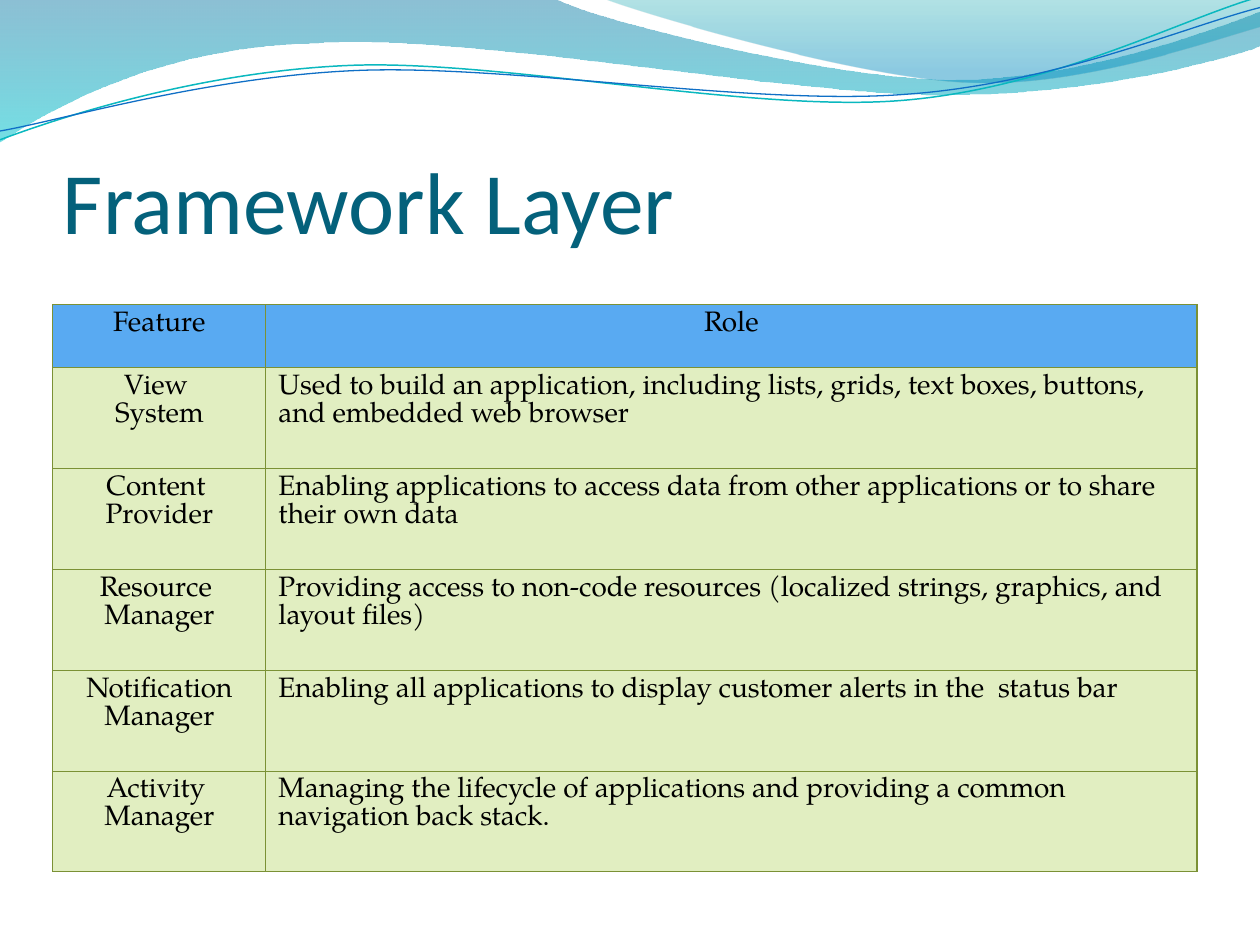
from pptx import Presentation, util as u
from pptx.dml.color import RGBColor
from pptx.enum import text
from pptx.oxml import parse_xml
from pptx.oxml.ns import nsdecls, qn
from lxml import etree

HUES = {"title": "04617B", "head": "59AAF2", "body": "E1EEC1", "edge": "7B9135",
        "ink": "000000", "teal": "0AB8BF", "blue": "0F6FC6"}
rgb = RGBColor.from_string

deck = Presentation()
deck.slide_width, deck.slide_height = u.Inches(10), u.Inches(7.5)
slide = deck.slides.add_slide(deck.slide_layouts[6])


def trace(steps, close):
    dots = [(u.Inches(s[i]), u.Inches(s[i + 1])) for s in steps for i in range(0, len(s), 2)]
    pen = slide.shapes.build_freeform(*dots[0])
    pen.add_line_segments(dots[1:], close=close)
    wave = pen.convert_to_shape()
    wave.shadow.inherit = False
    lines = iter(list(wave._element.spPr.iter(qn("a:lnTo"))))
    for step in steps[1:]:
        line = next(lines)
        if len(step) == 6:
            bend = etree.Element(qn("a:cubicBezTo"))
            line.addprevious(bend)
            for part in (line, next(lines), next(lines)):
                bend.append(part[0])
                part.getparent().remove(part)
    return wave


bands = [
    ([(0, 0), (4.4, -0.01), (4.76, 0.17, 6.64, 0.63, 7.58, 0.63),
      (8.53, 0.63, 9.58, 0.26, 10, 0.09), (10.01, 0.36),
      (9.83, 0.44, 8.7, 0.76, 7.46, 0.75), (6.22, 0.75, 3.82, 0.28, 2.57, 0.34),
      (1.29, 0.36, 0.46, 0.83, -0.01, 1.13)],
     [(0, "0074A1", 45), (1, "00C6CF", 55)]),
    ([(4.79, -0.01), (5.09, 0.11, 6.82, 0.62, 7.69, 0.65),
      (8.56, 0.69, 9.61, 0.32, 10, 0.21), (10, 0)],
     [(0, "00A1A9", 30), (0.8, "008BBF", 45)]),
]
for steps, stops in bands:
    band = trace(steps, True)
    band.line.fill.background()
    band.fill.gradient()
    band.fill.gradient_angle = 270
    for stop, (pos, hue, alpha) in zip(band.fill.gradient_stops, stops):
        stop.position = pos
        stop.color.rgb = rgb(hue)
    tints = band._element.spPr.iter(qn("a:srgbClr"))
    for tint, (pos, hue, alpha) in zip(tints, stops):
        etree.SubElement(tint, qn("a:alpha")).set("val", str(alpha * 1000))

curves = [
    ("teal", 0.85, [(0, 1.11), (0.48, 0.93, 1.58, 0.57, 2.77, 0.52),
                    (3.95, 0.47, 5.93, 0.89, 7.13, 0.8), (8.33, 0.71, 9.38, 0.15, 9.98, -0.02)]),
    ("blue", 0.75, [(0, 1.04), (0.47, 0.96, 1.64, 0.61, 2.83, 0.56),
                    (4.03, 0.51, 5.97, 0.84, 7.17, 0.75), (8.36, 0.67, 9.41, 0.21, 10, 0.06)]),
]
for hue, width, steps in curves:
    curve = trace(steps, False)
    curve.fill.background()
    curve.line.color.rgb = rgb(HUES[hue])
    curve.line.width = u.Pt(width)

title = slide.shapes.add_textbox(u.Inches(0.5), u.Inches(0.77), u.Inches(9), u.Inches(1.23))
frame = title.text_frame
frame.word_wrap = True
frame.vertical_anchor = text.MSO_ANCHOR.BOTTOM
frame.margin_left = frame.margin_right = frame.margin_bottom = 0
frame.text = "Framework Layer"
font = frame.paragraphs[0].font
font.name, font.size, font.color.rgb = "Calibri", u.Pt(50), rgb(HUES["title"])

rows = [
    ("Feature", "Role"),
    ("View \nSystem", "Used to build an application, including lists, grids, text boxes, buttons, and embedded web browser"),
    ("Content \nProvider", "Enabling applications to access data from other applications or to share their own data"),
    ("Resource \nManager", "Providing access to non-code resources (localized strings, graphics, and layout files)"),
    ("Notification Manager", "Enabling all applications to display customer alerts in the  status bar"),
    ("Activity \nManager", "Managing the lifecycle of applications and providing a common navigation back stack."),
]
grid = slide.shapes.add_table(len(rows), 2, u.Inches(0.42), u.Inches(2.42),
                              u.Inches(9.08), u.Inches(4.5)).table
grid.first_row = grid.horz_banding = False
style = grid._tbl.tblPr.find(qn("a:tableStyleId"))
style.text = "{2D5ABB26-0587-4C30-8999-92F81FD0307C}"
grid.columns[0].width, grid.columns[1].width = u.Inches(1.69), u.Inches(7.39)
for r, row in enumerate(rows):
    grid.rows[r].height = u.Inches(0.8 if r else 0.5)
    for c, words in enumerate(row):
        cell = grid.cell(r, c)
        props = cell._tc.get_or_add_tcPr()
        for side in "LRTB":
            props.append(parse_xml(
                f'<a:ln{side} {nsdecls("a")} w="9525"><a:solidFill>'
                f'<a:srgbClr val="{HUES["edge"]}"/></a:solidFill></a:ln{side}>'))
        cell.fill.solid()
        cell.fill.fore_color.rgb = rgb(HUES["body" if r else "head"])
        cell.text = words
        for para in cell.text_frame.paragraphs:
            para.alignment = text.PP_ALIGN.LEFT if r and c else text.PP_ALIGN.CENTER
            font = para.font
            font.name, font.size = "TeX Gyre Pagella", u.Pt(16)
            font.color.rgb = rgb(HUES["ink"])

deck.save("out.pptx")
